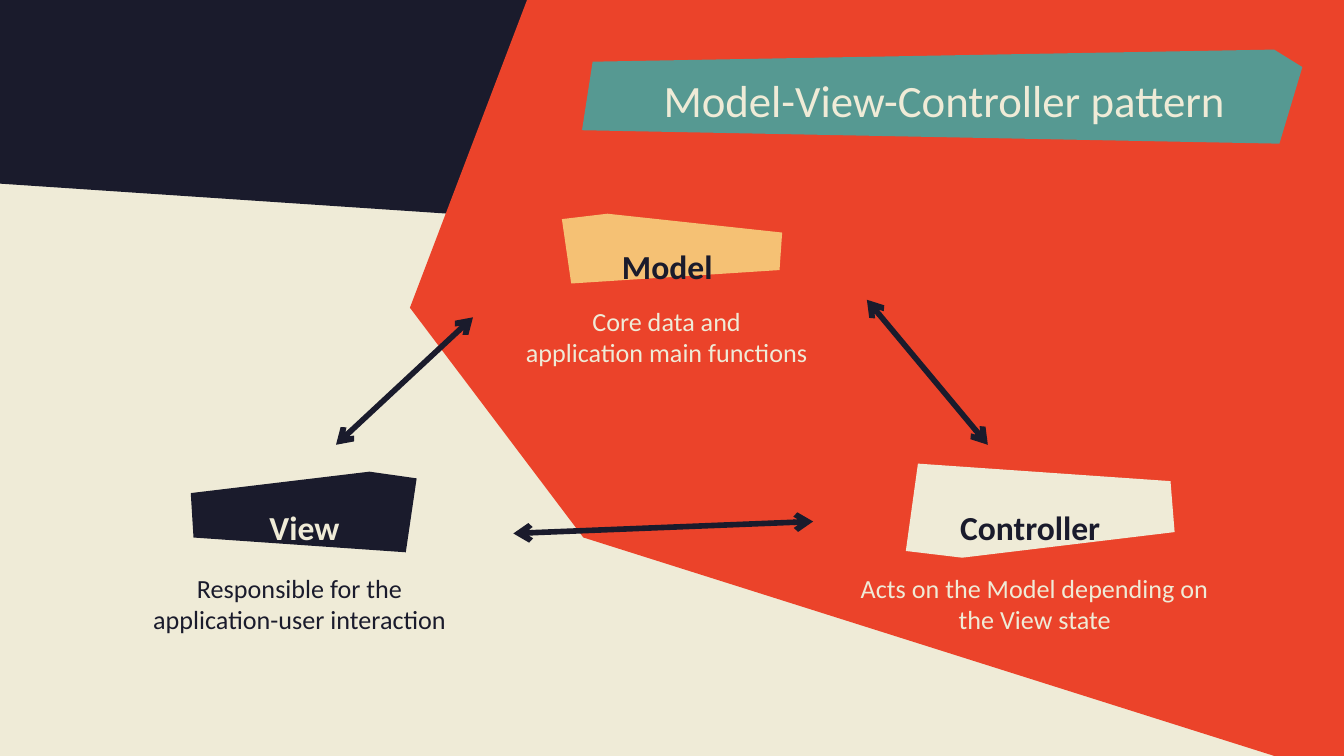
from lxml import etree
from pptx import Presentation
from pptx import util as u
from pptx.dml.color import RGBColor
from pptx.enum import shapes, text
from pptx.oxml import ns

NAVY = RGBColor(0x1A, 0x1B, 0x2C)
CREAM = RGBColor(0xEF, 0xEB, 0xD7)
RED = RGBColor(0xEB, 0x43, 0x2A)
TEAL = RGBColor(0x56, 0x99, 0x92)
GOLD = RGBColor(0xF5, 0xC1, 0x74)
FONT = "Calibri"
PAD = 7.2

BACK = [
    (NAVY, [(466.6, -5), (411.8, 126), (-7.9, 97.9), (-5.8, -5.8)]),
    (RED, [(727.9, -4.3), (730.1, 408.2), (690.5, 407.5), (312.5, 288),
           (219.6, 164.9), (285.1, -7.2)]),
    (TEAL, [(682.6, 26.6), (697.7, 36), (685.4, 77), (311.8, 69.8), (317.5, 33.1)]),
]

PARTS = [
    dict(name="View", fill=NAVY, ink=CREAM, spot=(115.2, 256.3),
         edge=[(102.2, 264.2), (103.7, 288), (217.4, 295.9), (223.2, 256.3), (198, 252.7)],
         note=["Responsible for the", "application-user interaction"],
         place=(54, 299.5), tint=NAVY),
    dict(name="Controller", fill=CREAM, ink=NAVY, spot=(504, 256.3),
         edge=[(629.3, 285.1), (627.1, 257.8), (491.8, 248.4), (485.3, 295.2), (515.5, 298.8)],
         note=["Acts on the Model depending on the View state"],
         place=(447.8, 299.5), tint=CREAM),
    dict(name="Model", fill=GOLD, ink=NAVY, spot=(309.6, 116.6),
         edge=[(419, 124.6), (417.6, 144.7), (306, 151.9), (301, 117.4), (325.4, 114.5)],
         note=["Core data and", "application main functions"],
         place=(250.6, 156.2), tint=CREAM),
]

LINKS = [
    ((180, 238.3), (253.4, 170)),
    ((464.4, 160.6), (529.2, 238.3)),
    ((275, 285.8), (435.6, 279.4)),
]


def blob(slide, fill, edge):
    """Draw a filled polygon through the given points."""
    pts = [(u.Pt(x), u.Pt(y)) for x, y in edge]
    pen = slide.shapes.build_freeform(*pts[0])
    pen.add_line_segments(pts[1:], close=True)
    shape = pen.convert_to_shape()
    shape.shadow.inherit = False
    shape.fill.solid()
    shape.fill.fore_color.rgb = fill
    shape.line.fill.background()


def write(slide, lines, box, *, size, color, bold=False, align=text.PP_ALIGN.CENTER,
          anchor=text.MSO_ANCHOR.TOP, top=PAD, base=PAD):
    """Add a text box with one paragraph per line."""
    frame = slide.shapes.add_textbox(*map(u.Pt, box)).text_frame
    frame.word_wrap = True
    frame.vertical_anchor = anchor
    frame.margin_left = frame.margin_right = u.Pt(PAD)
    frame.margin_top, frame.margin_bottom = u.Pt(top), u.Pt(base)
    frame.text = "\n".join(lines)
    for para in frame.paragraphs:
        para.alignment = align
        font = para.runs[0].font
        font.name, font.size, font.bold = FONT, u.Pt(size), bold
        font.color.rgb = color


def link(slide, start, end):
    """Draw a line with an arrowhead at each end."""
    line = slide.shapes.add_connector(
        shapes.MSO_CONNECTOR.STRAIGHT, *map(u.Pt, start + end))
    line.line.color.rgb = NAVY
    line.line.width = u.Pt(3)
    stroke = line.line._get_or_add_ln()
    for tag in ("a:headEnd", "a:tailEnd"):
        etree.SubElement(stroke, ns.qn(tag), type="arrow")
    etree.SubElement(line._element.spPr, ns.qn("a:effectLst"))


def part(slide, name, fill, ink, spot, edge, note, place, tint):
    """Draw one part of the pattern with its label and note."""
    blob(slide, fill, edge)
    write(slide, [name], (*spot, 95.8, 37.4), size=18, color=ink, bold=True,
          anchor=text.MSO_ANCHOR.MIDDLE, top=14.4, base=0)
    write(slide, note, (*place, 213.1, 59.8), size=14, color=tint)


def main():
    """Build the slide and save it."""
    deck = Presentation()
    deck.slide_width, deck.slide_height = u.Pt(720), u.Pt(405)
    slide = deck.slides.add_slide(deck.slide_layouts[6])
    slide.background.fill.solid()
    slide.background.fill.fore_color.rgb = CREAM
    for fill, edge in BACK:
        blob(slide, fill, edge)
    write(slide, ["Model-View-Controller pattern"], (58.3, 31.7, 604.8, 45.4),
          size=24, color=CREAM, align=text.PP_ALIGN.RIGHT)
    for item in PARTS:
        part(slide, **item)
    for start, end in LINKS:
        link(slide, start, end)
    deck.save("out.pptx")


if __name__ == "__main__":
    main()
